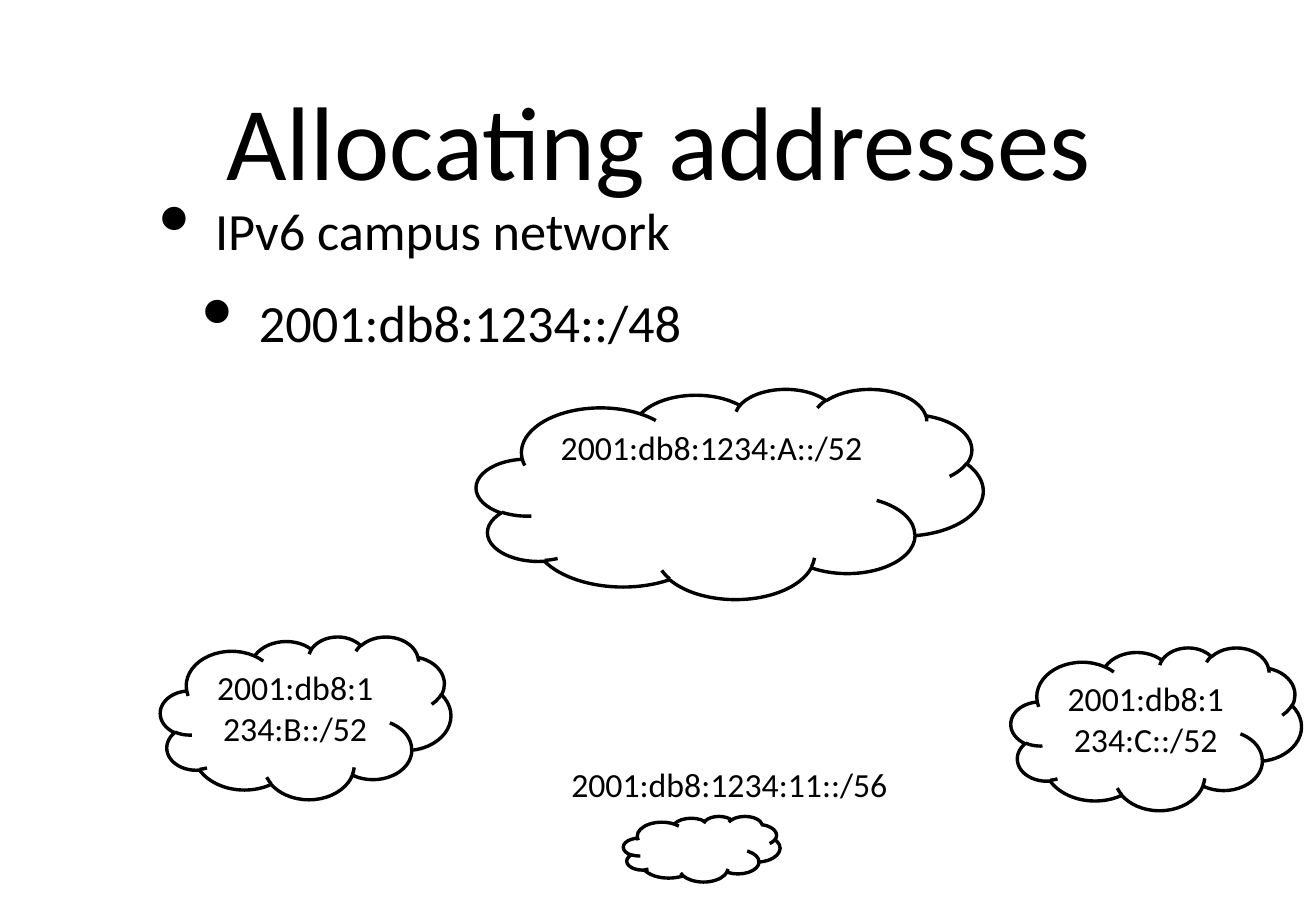
from dataclasses import dataclass

from lxml import etree
from pptx import Presentation
from pptx.dml.color import RGBColor
from pptx.enum.shapes import MSO_SHAPE
from pptx.enum.text import MSO_ANCHOR, PP_ALIGN
from pptx.oxml.ns import qn
from pptx.shapes.autoshape import Shape
from pptx.slide import Slide
from pptx.util import Inches, Pt

CLOUD = MSO_SHAPE.CLOUD
TOP, MIDDLE = MSO_ANCHOR.TOP, MSO_ANCHOR.MIDDLE
LEFT, CENTER = PP_ALIGN.LEFT, PP_ALIGN.CENTER
BLACK = RGBColor(0x00, 0x00, 0x00)
WHITE = RGBColor(0xFF, 0xFF, 0xFF)
FONT = "Calibri"
COLUMN = Inches(10.83) / 100
ROW = Inches(7.5) / 100
BULLET_SIZE = "171000"
HANGING = Inches(0.46)
PREFIX_SIZE = 20


@dataclass(frozen=True)
class Area:
    column: float
    row: float
    columns: float
    rows: float

    def emu(self) -> tuple[int, int, int, int]:
        return (round(self.column * COLUMN), round(self.row * ROW),
                round(self.columns * COLUMN), round(self.rows * ROW))


@dataclass(frozen=True)
class Network:
    area: Area
    prefix: str = ""


@dataclass(frozen=True)
class Bullet:
    text: str
    level: int
    indent: float
    space_before: float


TITLE_AREA = Area(9.79, 2.67, 80.52, 25.07)
OUTLINE_AREA = Area(9.79, 21.2, 80.52, 19)
SUBNET_LABEL_AREA = Area(30.47, 83.2, 49.95, 5.87)

OUTLINE = [
    Bullet("IPv6 campus network", 0, 0.67, 0),
    Bullet("2001:db8:1234::/48", 1, 1.03, 17.6),
]
NETWORKS = [
    Network(Area(36.2, 42.67, 38.5, 23.07), "2001:db8:1234:A::/52"),
    Network(Area(12.19, 69.87, 22.07, 17.87), "2001:db8:1234:B::/52"),
    Network(Area(47.37, 89.6, 11.91, 7.2)),
    Network(Area(76.82, 71.07, 22.07, 17.87), "2001:db8:1234:C::/52"),
]


def write(paragraph, text: str, *, size: float, align: PP_ALIGN = CENTER,
          space_before: float = 0) -> None:
    paragraph.alignment = align
    paragraph.space_before = Pt(space_before)
    run = paragraph.add_run()
    run.text = text
    run.font.name = FONT
    run.font.size = Pt(size)
    run.font.color.rgb = BLACK


def add_text_area(slide: Slide, area: Area, anchor: MSO_ANCHOR,
                  side_inset: float, edge_inset: float) -> Shape:
    box = slide.shapes.add_textbox(*area.emu())
    frame = box.text_frame
    frame.word_wrap = True
    frame.vertical_anchor = anchor
    frame.margin_left = frame.margin_right = Inches(side_inset)
    frame.margin_top = frame.margin_bottom = Inches(edge_inset)
    return box


def add_outline(slide: Slide) -> None:
    frame = add_text_area(slide, OUTLINE_AREA, TOP, 0.04, 0.04).text_frame
    for index, bullet in enumerate(OUTLINE):
        paragraph = frame.add_paragraph() if index else frame.paragraphs[0]
        paragraph.level = bullet.level
        write(paragraph, bullet.text, size=31, align=LEFT,
              space_before=bullet.space_before)
        properties = paragraph._p.get_or_add_pPr()
        properties.set("marL", str(Inches(bullet.indent)))
        properties.set("indent", str(-HANGING))
        etree.SubElement(properties, qn("a:buSzPct"), val=BULLET_SIZE)
        etree.SubElement(properties, qn("a:buChar"), char="•")


def add_network(slide: Slide, network: Network) -> None:
    cloud = slide.shapes.add_shape(CLOUD, *network.area.emu())
    cloud.shadow.inherit = False
    cloud.fill.solid()
    cloud.fill.fore_color.rgb = WHITE
    cloud.line.color.rgb = BLACK
    cloud.line.width = Pt(2)
    if network.prefix:
        frame = cloud.text_frame
        frame.word_wrap = True
        frame.vertical_anchor = TOP
        write(frame.paragraphs[0], network.prefix, size=PREFIX_SIZE)


def main() -> None:
    deck = Presentation()
    deck.slide_width = round(100 * COLUMN)
    deck.slide_height = round(100 * ROW)
    slide = deck.slides.add_slide(deck.slide_layouts[6])

    title = add_text_area(slide, TITLE_AREA, MIDDLE, 0.04, 0.04)
    write(title.text_frame.paragraphs[0], "Allocating addresses", size=62)
    add_outline(slide)
    for network in NETWORKS:
        add_network(slide, network)
    subnet_label = add_text_area(slide, SUBNET_LABEL_AREA, TOP, 0.1, 0.05)
    write(subnet_label.text_frame.paragraphs[0], "2001:db8:1234:11::/56",
          size=PREFIX_SIZE)

    deck.save("out.pptx")


if __name__ == "__main__":
    main()
